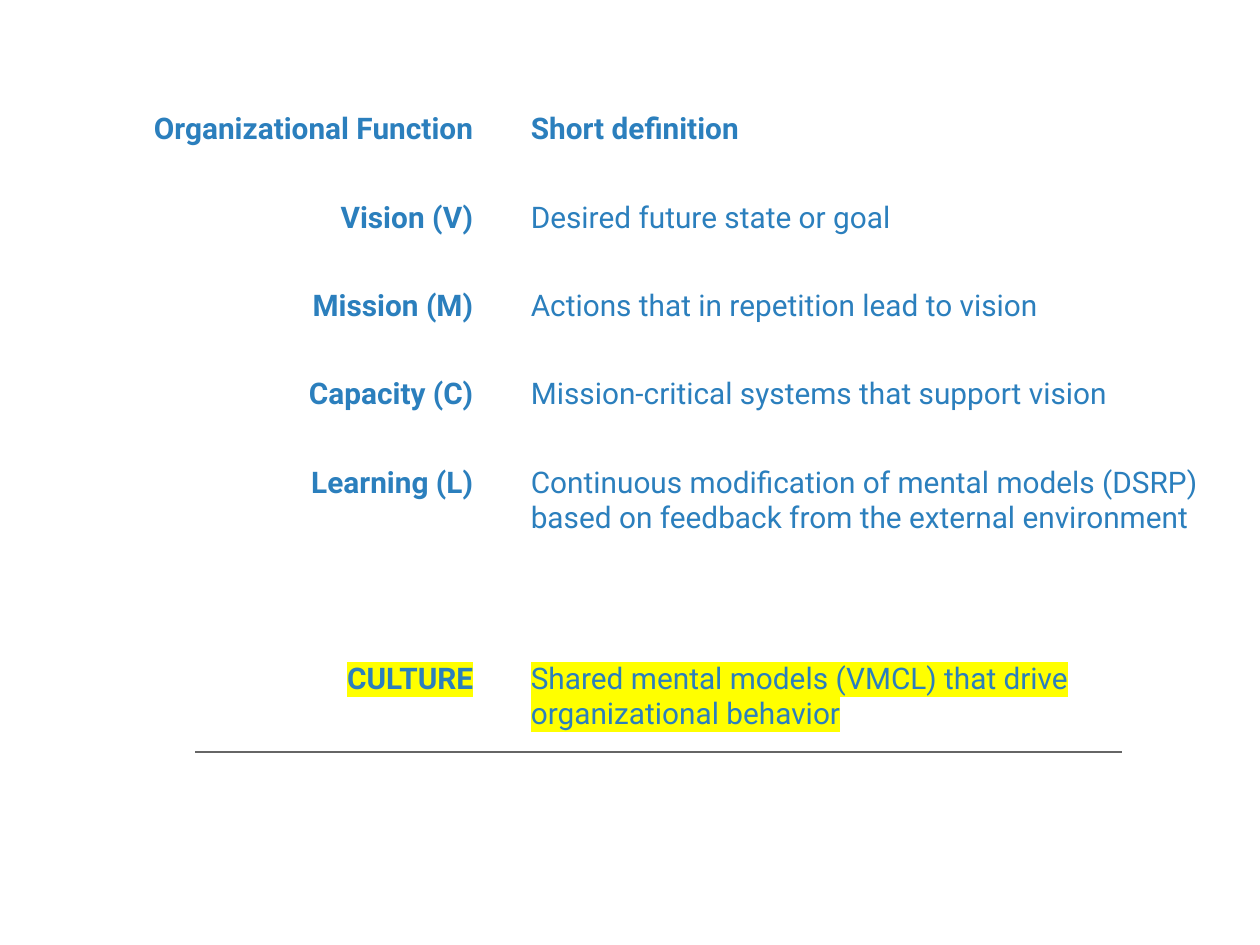
from lxml.etree import SubElement
from pptx import Presentation
from pptx.dml.color import RGBColor
from pptx.enum.shapes import MSO_CONNECTOR
from pptx.enum.text import MSO_ANCHOR, PP_ALIGN
from pptx.oxml import parse_xml
from pptx.oxml.ns import nsdecls, qn
from pptx.util import Cm, Pt

BLUE = RGBColor(0x2B, 0x7F, 0xBD)
GRAY = RGBColor(0x66, 0x66, 0x66)
YELLOW = RGBColor(0xFF, 0xFF, 0x00)

COLUMN_WIDTHS = (7.59, 0.84, 13.89)
ROW_HEIGHTS = (1.78, 1.78, 1.78, 1.78, 3.96, 3.53)
DEFINITIONS = (
    ("Organizational Function", "Short definition"),
    ("Vision (V)", "Desired future state or goal"),
    ("Mission (M)", "Actions that in repetition lead to vision"),
    ("Capacity (C)", "Mission-critical systems that support vision"),
    ("Learning (L)", "Continuous modification of mental models (DSRP) "
                     "based on feedback from the external environment"),
    ("CULTURE", "Shared mental models (VMCL) that drive organizational behavior"),
)


def write_text(frame, text, *, font="Roboto", size=17, color=BLUE, bold=False,
               align=PP_ALIGN.LEFT, highlight=None):
    para = frame.paragraphs[0]
    para.alignment = align
    span = para.add_run()
    span.text = text
    span.font.name = font
    span.font.size = Pt(size)
    span.font.bold = bold
    span.font.color.rgb = color
    if highlight is not None:
        marker = parse_xml(f'<a:highlight {nsdecls("a")}>'
                           f'<a:srgbClr val="{highlight}"/></a:highlight>')
        span.font._element.find(qn("a:solidFill")).addnext(marker)


class SlideBuilder:
    def __init__(self, slide):
        self.slide = slide
        self.cell_margin = Cm(0.16)

    def add_definition_table(self, left, top, entries):
        """Add right-aligned terms and their definitions, split by a narrow gap column."""
        table = self.slide.shapes.add_table(
            len(entries), len(COLUMN_WIDTHS), Cm(left), Cm(top),
            Cm(sum(COLUMN_WIDTHS)), Cm(sum(ROW_HEIGHTS))).table
        table.first_row = False
        table.horz_banding = False
        for column, width in zip(table.columns, COLUMN_WIDTHS):
            column.width = Cm(width)
        for row, height in zip(table.rows, ROW_HEIGHTS):
            row.height = Cm(height)
        for cell in table.iter_cells():
            cell.fill.background()
            cell.vertical_anchor = MSO_ANCHOR.TOP
            cell.margin_left = cell.margin_right = self.cell_margin
            cell.margin_top = cell.margin_bottom = 0
        for index, (term, definition) in enumerate(entries):
            highlight = YELLOW if term == "CULTURE" else None
            write_text(table.cell(index, 0).text_frame, term, bold=True,
                       align=PP_ALIGN.RIGHT, highlight=highlight)
            write_text(table.cell(index, 2).text_frame, definition,
                       bold=index == 0, highlight=highlight)

    def add_rule(self, left, right, top):
        rule = self.slide.shapes.add_connector(
            MSO_CONNECTOR.STRAIGHT, Cm(left), Cm(top), Cm(right), Cm(top))
        rule.line.color.rgb = GRAY
        rule.line.width = Pt(0.75)
        SubElement(rule._element.spPr, qn("a:effectLst"))


def main():
    deck = Presentation()
    deck.slide_width = Cm(25.4)
    deck.slide_height = Cm(19.05)
    page = SlideBuilder(deck.slides.add_slide(deck.slide_layouts[6]))
    page.add_definition_table(2.11, 2.26, DEFINITIONS)
    page.add_rule(3.94, 22.61, 15.16)
    deck.save("out.pptx")


if __name__ == "__main__":
    main()
